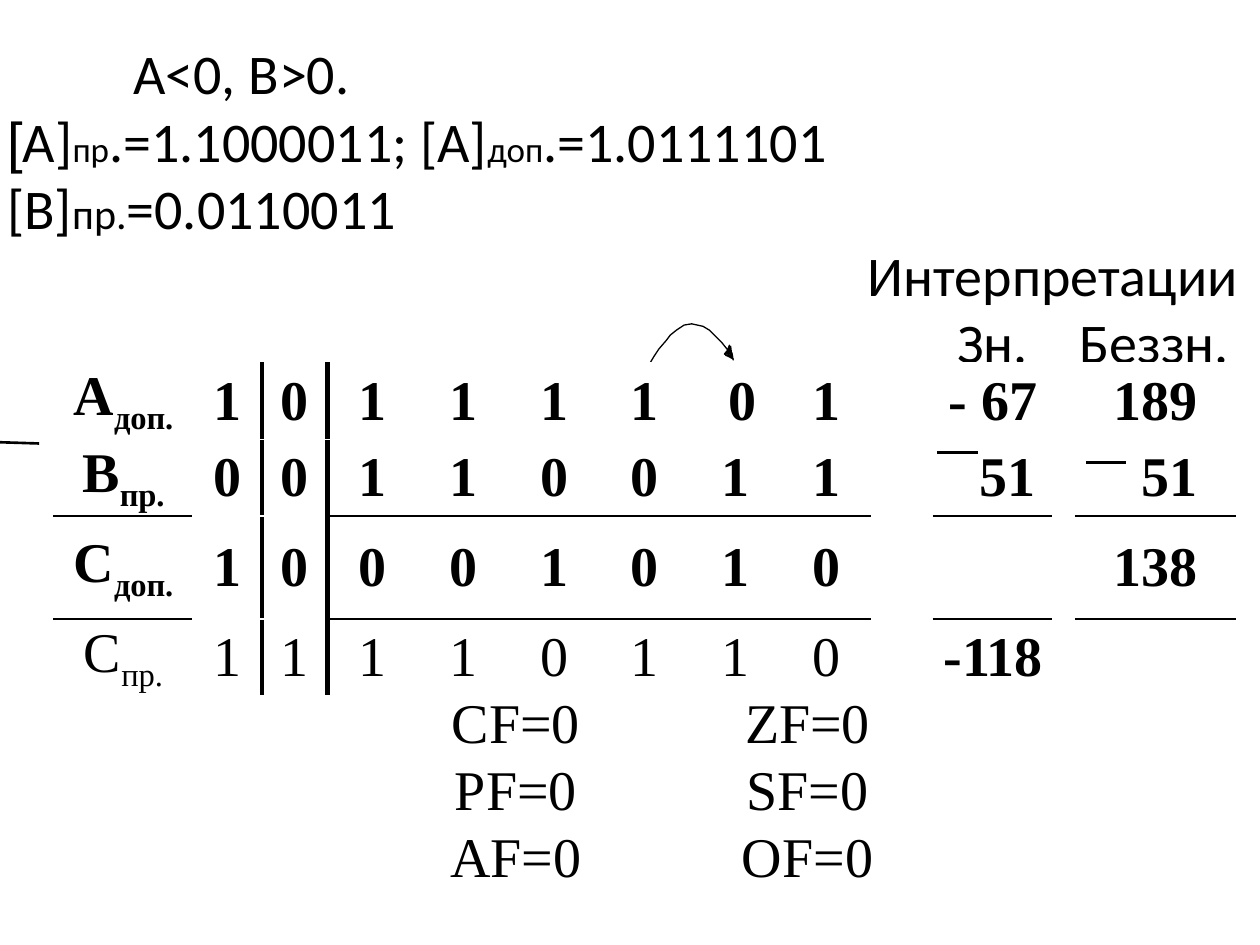
from lxml import etree
from pptx import Presentation
from pptx.dml.color import RGBColor
from pptx.enum import shapes, text
from pptx.oxml import ns
from pptx.util import Inches, Pt

BLACK = RGBColor(0, 0, 0)
SERIF = "Times New Roman"
SANS = "Calibri"
SIGN_COLUMNS = (1, 2)
GAP_COLUMNS = (9, 11)
RULED_ROWS = (1, 2)
BITS = [
    ("A", "доп.", "10111101", "- 67", "189"),
    ("B", "пр.", "00110011", "51", "51"),
    ("C", "доп.", "10001010", "", "138"),
    ("C", "пр.", "11110110", "-118", ""),
]
FLAGS = [("CF=0", "", "ZF=0"), ("PF=0", "", "SF=0"), ("AF=0", "", "OF=0")]
CELL_SHIFTS = {(0, 7): 0.11, (1, 10): 0.22, (1, 12): 0.22}
MINUS_SIGNS = [(0, 3.51, 0.31, 3.52), (8.62, 3.67, 8.94, 3.67), (7.44, 3.59, 7.76, 3.59)]
CARRY_POINTS = [
    (0, 0.31), (0.03, 0.26), (0.07, 0.2), (0.13, 0.13), (0.16, 0.09), (0.21, 0.05),
    (0.27, 0.01), (0.33, 0), (0.42, 0.02), (0.47, 0.05), (0.51, 0.09), (0.57, 0.15),
    (0.61, 0.2), (0.64, 0.24), (0.66, 0.28), (0.59, 0.24), (0.64, 0.18), (0.65, 0.27),
    (0.6, 0.25), (0.63, 0.17), (0.64, 0.27), (0.61, 0.23), (0.63, 0.2), (0.62, 0.26),
    (0.65, 0.23), (0.66, 0.29),
]


def add_span(para, content, size=32, font=SANS, bold=False, baseline=0):
    span = para.add_run()
    span.text = content
    span.font.size = Pt(size)
    span.font.name = font
    span.font.bold = bold
    span.font.color.rgb = BLACK
    if baseline:
        span._r.get_or_add_rPr().set("baseline", str(baseline * 1000))


def add_stops(para, stops):
    tabs = etree.SubElement(para._p.get_or_add_pPr(), ns.qn("a:tabLst"))
    for stop in stops:
        etree.SubElement(tabs, ns.qn("a:tab"), pos=str(Inches(stop)), algn="l")


def add_heading(page, left, top, width, height):
    box = page.shapes.add_textbox(Inches(left), Inches(top), Inches(width), Inches(height))
    frame = box.text_frame
    frame.word_wrap = True
    lines = [
        (1, [("А<0, B>0.", {})]),
        (0, [("[", {"font": "Arial"}), ("А]", {}), ("пр", {"size": 20}),
             (".=1.1000011; [А]", {}), ("доп", {"size": 20}), (".=1.0111101", {})]),
        (0, [("[В]", {}), ("пр.", {"size": 24}), ("=0.0110011", {})]),
        (6.83, [("Интерпретации", {})]),
        (0, [("\tЗн.\tБеззн.", {})]),
    ]
    for index, (indent, spans) in enumerate(lines):
        para = frame.add_paragraph() if index else frame.paragraphs[0]
        para._p.get_or_add_pPr().set("marL", str(Inches(indent)))
        for content, look in spans:
            add_span(para, content, **look)
    add_stops(frame.paragraphs[-1], (7.54, 8.51))


def add_line(page, left, top, right, bottom):
    line = page.shapes.add_connector(
        shapes.MSO_CONNECTOR.STRAIGHT, Inches(left), Inches(top), Inches(right), Inches(bottom))
    line.line.color.rgb = BLACK
    line.line.width = Pt(1.5)
    etree.SubElement(line._element.spPr, ns.qn("a:effectLst"))


def add_carry_arrow(page, left, top):
    points = [(Inches(left + x), Inches(top + y)) for x, y in CARRY_POINTS]
    builder = page.shapes.build_freeform(*points[0])
    builder.add_line_segments(points[1:], close=False)
    arrow = builder.convert_to_shape()
    arrow.shadow.inherit = False
    arrow.fill.background()
    arrow.line.color.rgb = BLACK
    arrow.line.width = Pt(0.75)


def add_grid(page, left, top, widths, heights):
    frame = page.shapes.add_table(
        len(heights), len(widths), Inches(left), Inches(top),
        Inches(sum(widths)), Inches(sum(heights)))
    grid = frame.table
    grid.first_row = grid.horz_banding = False
    for column, width in zip(grid.columns, widths):
        column.width = Inches(width)
    for row, height in zip(grid.rows, heights):
        row.height = Inches(height)
    return grid


def fill_cell(cell, content, subscript="", bold=False, shift=0):
    cell.fill.background()
    cell.vertical_anchor = text.MSO_ANCHOR.MIDDLE
    cell.margin_left = Inches(0.07 + shift)
    cell.margin_right = Inches(0.07)
    cell.margin_top = cell.margin_bottom = 0
    para = cell.text_frame.paragraphs[0]
    para.alignment = text.PP_ALIGN.CENTER
    if content:
        add_span(para, content, font=SERIF, bold=bold)
    if subscript:
        add_span(para, subscript, font=SERIF, bold=bold, baseline=-25)


def add_borders(cell, sides):
    properties = cell._tc.get_or_add_tcPr()
    for index, (side, width) in enumerate(sides):
        edge = etree.Element(ns.qn(f"a:ln{side}"), w=str(Pt(width)))
        paint = etree.SubElement(edge, ns.qn("a:solidFill"))
        etree.SubElement(paint, ns.qn("a:srgbClr"), val=str(BLACK))
        properties.insert(index, edge)


def cell_sides(row, column):
    if column in SIGN_COLUMNS:
        return [("R" if column == SIGN_COLUMNS[0] else "L", 3)]
    if column in GAP_COLUMNS:
        return []
    sides = [("T", 1.5)] if row - 1 in RULED_ROWS else []
    return sides + ([("B", 1.5)] if row in RULED_ROWS else [])


def add_bit_table(page, left, top):
    widths = [1.1, 0.55, 0.52] + [0.72] * 6 + [0.49, 0.95, 0.18, 1.27]
    grid = add_grid(page, left, top, widths, [0.55, 0.55, 0.82, 0.55])
    for row, (name, code, bits, signed, unsigned) in enumerate(BITS):
        for column, content in enumerate([name, *bits, "", signed, "", unsigned]):
            cell = grid.cell(row, column)
            fill_cell(
                cell, content, subscript="" if column else code,
                bold=row < 3 or column == 10, shift=CELL_SHIFTS.get((row, column), 0))
            add_borders(cell, cell_sides(row, column))


def add_flag_table(page, left, top):
    grid = add_grid(page, left, top, [1.33, 0.54, 2.22], [0.53] * 3)
    for row, flags in enumerate(FLAGS):
        for column, flag in enumerate(flags):
            fill_cell(grid.cell(row, column), flag)


def main():
    deck = Presentation()
    deck.slide_width, deck.slide_height = Inches(10), Inches(7.5)
    page = deck.slides.add_slide(deck.slide_layouts[6])
    add_heading(page, -0.04, 0.26, 10, 3.33)
    for ends in MINUS_SIGNS:
        add_line(page, *ends)
    add_flag_table(page, 3.43, 5.48)
    add_carry_arrow(page, 5.16, 2.57)
    add_bit_table(page, 0.43, 2.88)
    deck.save("out.pptx")


if __name__ == "__main__":
    main()
